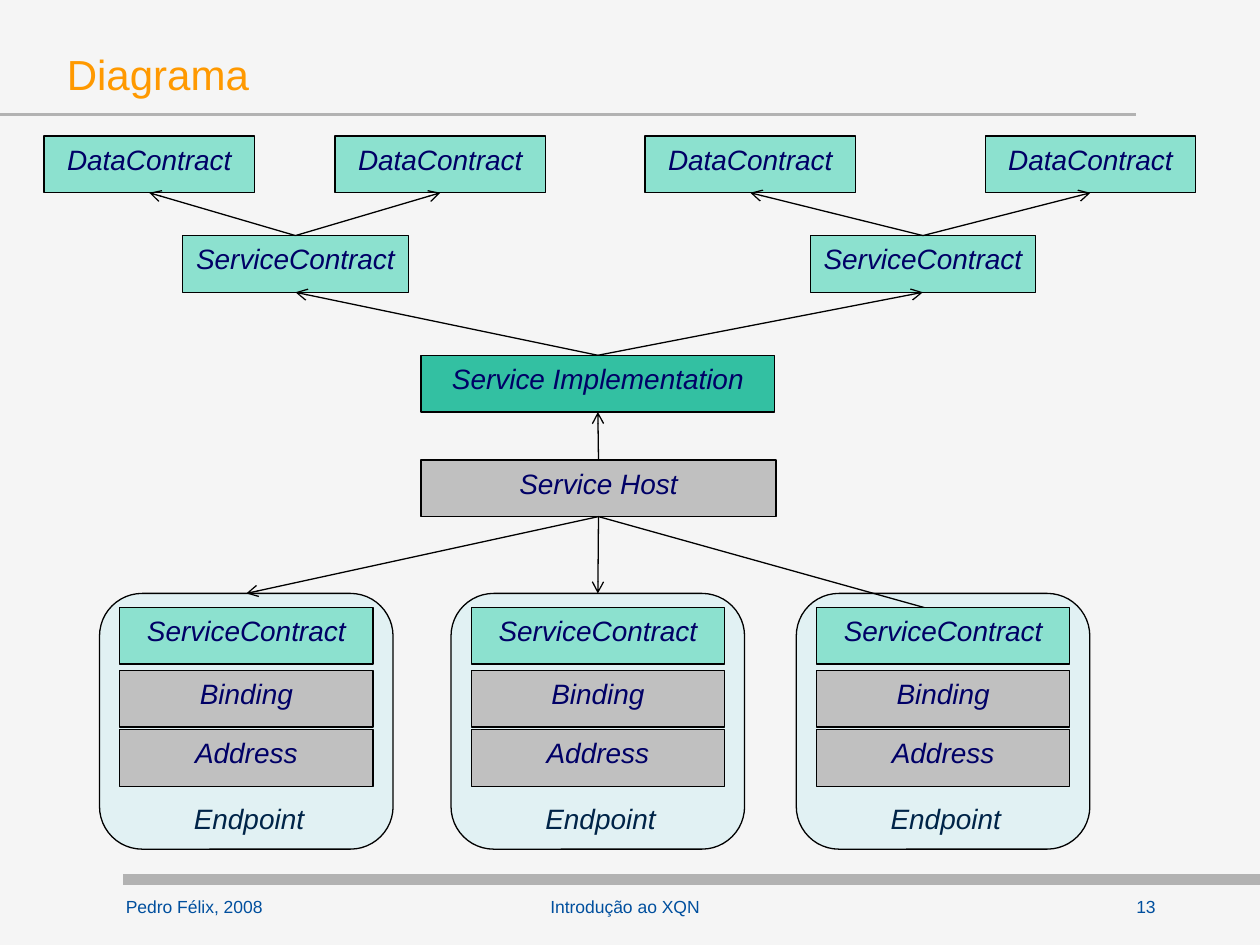
from lxml import etree
from pptx import Presentation
from pptx.dml.color import RGBColor
from pptx.enum import shapes, text
from pptx.oxml.ns import qn
from pptx.util import Inches, Pt

MINT, TEAL, GREY, PALE = "8CE1CF", "33C0A2", "C0C0C0", "E1F1F3"
NAVY, BLUE, RULE = "000066", "004F9E", "B2B2B2"
TOP, BOTTOM = 0, 2
BOX_HEIGHT = 0.45


def colour(hex_string):
    return RGBColor.from_string(hex_string)


def write(frame, words, size=16, color=NAVY, italic=False,
          align=text.PP_ALIGN.LEFT, anchor=text.MSO_ANCHOR.TOP, wrap=True):
    frame.word_wrap = wrap
    frame.vertical_anchor = anchor
    paragraph = frame.paragraphs[0]
    paragraph.alignment = align
    run = paragraph.add_run()
    run.text = words
    run.font.name = "Arial"
    run.font.size = Pt(size)
    run.font.italic = italic
    run.font.color.rgb = colour(color)


def label(slide, box, words, **fmt):
    area = slide.shapes.add_textbox(*map(Inches, box))
    write(area.text_frame, words, **fmt)


def block(slide, box, fill, words=None, kind=shapes.MSO_SHAPE.RECTANGLE):
    """Draw an outlined shape, with a centred caption if words are given."""
    shape = slide.shapes.add_shape(kind, *map(Inches, box))
    shape.shadow.inherit = False
    shape.fill.solid()
    shape.fill.fore_color.rgb = colour(fill)
    shape.line.color.rgb = colour("000000")
    shape.line.width = Pt(0.75)
    if words:
        write(shape.text_frame, words, italic=True, align=text.PP_ALIGN.CENTER)
    return shape


def line(slide, start=(0, 0), end=(0, 0), color="000000", width=0.75):
    connector = slide.shapes.add_connector(
        shapes.MSO_CONNECTOR.STRAIGHT, *map(Inches, (*start, *end)))
    connector.line.color.rgb = colour(color)
    connector.line.width = Pt(width)
    etree.SubElement(connector._element.spPr, qn("a:effectLst"))
    return connector


def arrow(slide, source, side, target=None, target_side=None, end=(0, 0)):
    """Point from a side of source to a side of target, or to a free end."""
    connector = line(slide, end=end)
    connector.begin_connect(source, side)
    if target is not None:
        connector.end_connect(target, target_side)
    outline = connector.line._get_or_add_ln()
    etree.SubElement(outline, qn("a:tailEnd"), type="arrow")


def frame_slide(slide):
    """Set the background, rules, title and footer."""
    slide.background.fill.solid()
    slide.background.fill.fore_color.rgb = colour("F5F5F5")
    line(slide, (0.98, 6.98), (10, 6.98), RULE, 6)
    line(slide, (0, 0.91), (9.02, 0.91), RULE, 1.5)

    title = slide.shapes.title
    title.left, title.top, title.width, title.height = map(
        Inches, (0.43, 0.28, 8.98, 0.61))
    write(title.text_frame, "Diagrama", size=24, color="FF9900",
          anchor=text.MSO_ANCHOR.MIDDLE)

    footer = dict(size=10, color=BLUE)
    label(slide, (0.9, 7.06, 1.31, 0.32), "Pedro Félix, 2008", **footer)
    footer["align"] = text.PP_ALIGN.CENTER
    label(slide, (2.48, 7.06, 4.96, 0.29), "Introdução ao XQN", **footer)
    label(slide, (8.7, 7.06, 0.79, 0.32), "13", **footer)


def contract_tree(slide, top, service_left, data_lefts):
    """Draw a service contract below its data contracts; return the former."""
    service = block(slide, (service_left, top + 0.79, 1.79, BOX_HEIGHT),
                    MINT, "ServiceContract")
    for left in data_lefts:
        data = block(slide, (left, top, 1.67, BOX_HEIGHT), MINT, "DataContract")
        arrow(slide, service, TOP, data, BOTTOM)
    return service


def service_core(slide, left, top):
    """Draw the implementation above its host; return both."""
    implementation = block(slide, (left, top, 2.81, BOX_HEIGHT),
                           TEAL, "Service Implementation")
    host = block(slide, (left, top + 0.83, 2.82, BOX_HEIGHT),
                 GREY, "Service Host")
    arrow(slide, host, TOP, implementation, BOTTOM)
    return implementation, host


def endpoint_panel(slide, left, top):
    return block(slide, (left, top, 2.33, 2.03), PALE,
                 kind=shapes.MSO_SHAPE.ROUNDED_RECTANGLE)


def endpoint_parts(slide, left, top):
    parts = [("ServiceContract", MINT, 0.11), ("Binding", GREY, 0.61),
             ("Address", GREY, 1.08)]
    for name, fill, offset in parts:
        block(slide, (left + 0.16, top + offset, 2.01, BOX_HEIGHT), fill, name)
    label(slide, (left + 0.65, top + 1.6, 1.09, 0.37), "Endpoint",
          color="002448", italic=True, wrap=False)


def main():
    deck = Presentation()
    deck.slide_width, deck.slide_height = Inches(10), Inches(7.5)
    slide = deck.slides.add_slide(deck.slide_layouts[5])
    frame_slide(slide)

    endpoint_top, endpoint_lefts = 4.71, (0.79, 3.58, 6.32)
    panels = [endpoint_panel(slide, left, endpoint_top)
              for left in endpoint_lefts]

    contracts = [contract_tree(slide, 1.08, 1.45, (0.35, 2.66)),
                 contract_tree(slide, 1.08, 6.43, (5.12, 7.82))]
    implementation, host = service_core(slide, 3.34, 2.82)
    for contract in contracts:
        arrow(slide, implementation, TOP, contract, BOTTOM)

    for panel in panels[:2]:
        arrow(slide, host, BOTTOM, panel, TOP)
    # The last arrow runs on behind the contract box of its endpoint.
    arrow(slide, host, BOTTOM, end=(7.65, 4.91))
    for left in endpoint_lefts:
        endpoint_parts(slide, left, endpoint_top)

    deck.save("out.pptx")


if __name__ == "__main__":
    main()
